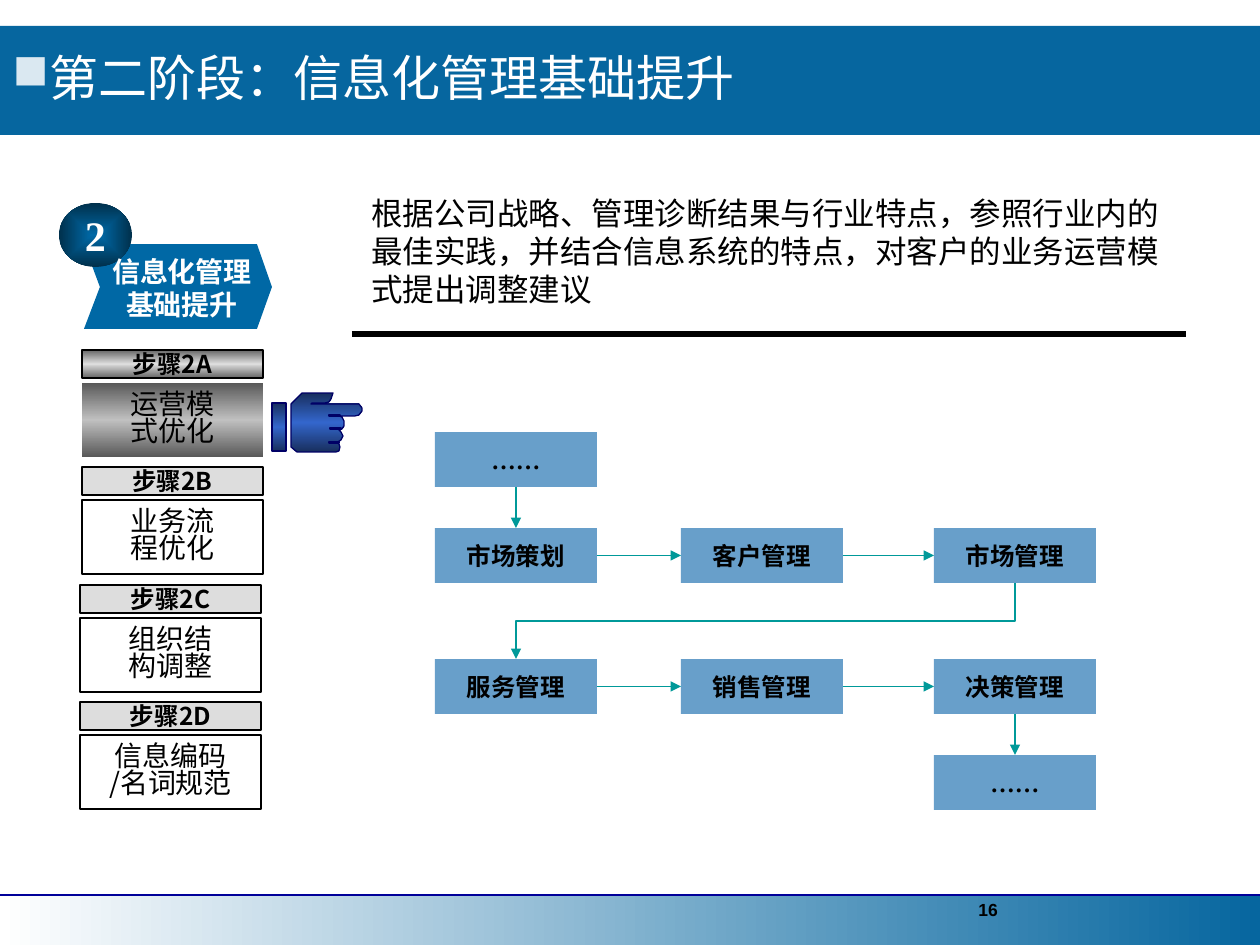
from dataclasses import dataclass
from typing import Any, NamedTuple

from lxml.etree import SubElement
from pptx import Presentation
from pptx.dml.color import RGBColor
from pptx.enum.shapes import MSO_CONNECTOR, MSO_SHAPE
from pptx.enum.text import MSO_ANCHOR, PP_ALIGN
from pptx.oxml.ns import qn
from pptx.util import Pt

SCALE = 914400 / 126  # EMU in one px


def px(length: float) -> int:
    return round(length * SCALE)


class Box(NamedTuple):
    left: int
    top: int
    width: int
    height: int


class Gradient(NamedTuple):
    colors: tuple[str, ...]
    angle: int | None = 90  # None spreads from the centre


class Outline(NamedTuple):
    color: str
    points: float


@dataclass(frozen=True)
class TextStyle:
    size: int
    color: str = "000000"
    bold: bool = False
    latin: str = "Noto Sans CJK SC"
    asian: str = "Noto Sans CJK SC"
    align: Any = PP_ALIGN.CENTER
    anchor: Any = MSO_ANCHOR.MIDDLE
    spacing: float | None = None
    wrap: bool = False


@dataclass(frozen=True)
class Theme:
    banner: str = "06669F"
    bullet: str = "DAE8F1"
    node: str = "689FCA"
    chevron: str = "0068A5"
    step: str = "DDDDDD"
    footer: Gradient = Gradient(("FFFFFF", "06669F"), 0)
    badge: Gradient = Gradient(("0068A5", "00304C"), None)
    active_step: Gradient = Gradient(("666666", "DDDDDD", "666666"))
    active_topic: Gradient = Gradient(("595959", "C0C0C0", "595959"))
    hand: Gradient = Gradient(("182F5E", "3366CC", "182F5E"))
    footer_rule: Outline = Outline("000099", 1)
    arrow: Outline = Outline("009999", 0.75)
    rule: Outline = Outline("000000", 3)
    frame: Outline = Outline("000000", 0.75)
    hand_edge: Outline = Outline("000066", 0.75)
    title: TextStyle = TextStyle(28, "FFFFFF", latin="Arial", align=PP_ALIGN.LEFT, spacing=0.9, wrap=True)
    summary: TextStyle = TextStyle(18, align=PP_ALIGN.LEFT, anchor=MSO_ANCHOR.TOP, wrap=True)
    page: TextStyle = TextStyle(10, bold=True, latin="Arial", align=PP_ALIGN.LEFT,
                                anchor=MSO_ANCHOR.TOP, wrap=True)
    number: TextStyle = TextStyle(24, "FFFFFF", True, "Times New Roman")
    phase: TextStyle = TextStyle(16, "FFFFFF", True, "Times New Roman")
    step_label: TextStyle = TextStyle(14, bold=True)
    topic: TextStyle = TextStyle(16, spacing=0.8, wrap=True)
    dots: TextStyle = TextStyle(14, bold=True, latin="Times New Roman", asian="Times New Roman")


THEME = Theme()


class Step(NamedTuple):
    label: str
    topic: tuple[str, str]
    left: int
    active: bool = False


class Node(NamedTuple):
    text: str
    column: int
    row: int


STEPS = (
    Step("步骤2A", ("运营模", "式优化"), 82, True),
    Step("步骤2B", ("业务流", "程优化"), 82),
    Step("步骤2C", ("组织结", "构调整"), 80),
    Step("步骤2D", ("信息编码", "/名词规范"), 80),
)
COLUMNS = (435, 681, 934)
ROWS = (432, 528, 659, 755)
NODES = (
    Node("……", 0, 0),
    Node("市场策划", 0, 1), Node("客户管理", 1, 1), Node("市场管理", 2, 1),
    Node("服务管理", 0, 2), Node("销售管理", 1, 2), Node("决策管理", 2, 2),
    Node("……", 2, 3),
)
CHEVRON = ((84, 244), (257, 244), (272, 287), (257, 329), (84, 329), (100, 287))
HAND = (
    (355, 416), (339, 416), (342, 417), (344, 421), (344, 426), (342, 429), (339, 430), (341, 432),
    (343, 436), (341, 440), (338, 442), (336, 442), (339, 444), (340, 447), (339, 451), (336, 452),
    (297, 452), (291, 447), (291, 404), (302, 393), (333, 393), (331, 399), (329, 402), (325, 403),
    (312, 403), (311, 404), (355, 404), (359, 404), (362, 408), (362, 411), (359, 415),
)
CUFF = Box(272, 403, 14, 48)
FINGER_CREASES = (Box(329, 415, 11, 1), Box(330, 428, 11, 1), Box(329, 442, 10, 1))


def apply(target: Any, values: dict[str, Any]) -> None:
    for name, value in values.items():
        setattr(target, name, value)


def paint(shape: Any, fill: str | Gradient | None, outline: Outline | None = None) -> None:
    shape.shadow.inherit = False
    if fill is None:
        shape.fill.background()
    elif isinstance(fill, str):
        shape.fill.solid()
        shape.fill.fore_color.rgb = RGBColor.from_string(fill)
    else:
        shape.fill.gradient()
        grad = shape._element.spPr.find(qn("a:gradFill"))
        for child in list(grad):
            grad.remove(child)
        stops = SubElement(grad, qn("a:gsLst"))
        for index, color in enumerate(fill.colors):
            stop = SubElement(stops, qn("a:gs"), pos=str(100000 * index // (len(fill.colors) - 1)))
            SubElement(stop, qn("a:srgbClr"), val=color)
        if fill.angle is None:
            centre = SubElement(grad, qn("a:path"), path="rect")
            SubElement(centre, qn("a:fillToRect"), dict.fromkeys("ltrb", "50000"))
        else:
            SubElement(grad, qn("a:lin"), ang=str(fill.angle * 60000), scaled="0")
    if outline:
        draw_outline(shape.line, outline)
    else:
        shape.line.fill.background()


def draw_outline(line: Any, outline: Outline) -> None:
    line.color.rgb = RGBColor.from_string(outline.color)
    line.width = Pt(outline.points)


def write(shape: Any, lines: tuple[str, ...], style: TextStyle) -> None:
    frame = shape.text_frame
    apply(frame, {"word_wrap": style.wrap, "vertical_anchor": style.anchor})
    for index, text in enumerate(lines):
        paragraph = frame.add_paragraph() if index else frame.paragraphs[0]
        apply(paragraph, {"alignment": style.align, "line_spacing": style.spacing})
        run = paragraph.add_run()
        run.text = text
        apply(run.font, {"size": Pt(style.size), "bold": style.bold, "name": style.latin})
        run.font.color.rgb = RGBColor.from_string(style.color)
        run.font._element.find(qn("a:latin")).addnext(
            run.font._element.makeelement(qn("a:ea"), {"typeface": style.asian}))


def add_block(shapes: Any, box: Box, fill: str | Gradient | None, outline: Outline | None = None,
              kind: Any = MSO_SHAPE.RECTANGLE) -> Any:
    block = shapes.add_shape(kind, *map(px, box))
    paint(block, fill, outline)
    return block


def add_label(shapes: Any, box: Box, lines: tuple[str, ...], style: TextStyle) -> Any:
    label = shapes.add_textbox(*map(px, box))
    write(label, lines, style)
    return label


def add_polygon(shapes: Any, points: tuple, fill: str | Gradient, outline: Outline | None = None) -> None:
    builder = shapes.build_freeform(*points[0], scale=SCALE)
    builder.add_line_segments(points[1:], close=True)
    paint(builder.convert_to_shape(), fill, outline)


def add_line(shapes: Any, ends: tuple[int, int, int, int], outline: Outline,
             kind: Any = MSO_CONNECTOR.STRAIGHT) -> Any:
    line = shapes.add_connector(kind, *map(px, ends))
    draw_outline(line.line, outline)
    SubElement(line._element.spPr, qn("a:effectLst"))
    return line


def add_arrow(shapes: Any, start: Any, end: Any, sites: tuple[int, int], bent: bool = False) -> None:
    """Glue an arrow to two nodes; sites count top, left, bottom, right from 0."""
    arrow = add_line(shapes, (0, 0, 1, 1), THEME.arrow,
                     MSO_CONNECTOR.ELBOW if bent else MSO_CONNECTOR.STRAIGHT)
    arrow.begin_connect(start, sites[0])
    arrow.end_connect(end, sites[1])
    SubElement(arrow.line._get_or_add_ln(), qn("a:tailEnd"), type="triangle")
    if bent:  # a quarter turn makes the path leave downwards
        across, down = arrow.width, arrow.height
        shift = (across - down) // 2
        apply(arrow, {"left": arrow.left + shift, "top": arrow.top - shift,
                      "width": down, "height": across})
        apply(arrow._element.spPr.xfrm, {"rot": 90.0, "flipH": False, "flipV": False})


def add_frame(shapes: Any) -> None:
    add_block(shapes, Box(0, 896, 1260, 49), THEME.footer)
    add_line(shapes, (-1, 895, 1261, 895), THEME.footer_rule)
    add_label(shapes, Box(966, 893, 294, 45), ("16",), THEME.page)
    banner = Box(0, 26, 1260, 109)
    add_block(shapes, banner, THEME.banner)
    title = add_label(shapes, banner, ("第二阶段：信息化管理基础提升",), THEME.title)
    bulleted = title.text_frame.paragraphs[0]._p.get_or_add_pPr()
    bulleted.set("marL", str(px(37)))
    bulleted.set("indent", str(px(-37)))
    SubElement(SubElement(bulleted, qn("a:buClr")), qn("a:srgbClr"), val=THEME.bullet)
    SubElement(bulleted, qn("a:buChar"), char="■")


def add_flow(shapes: Any) -> None:
    nodes = []
    for node in NODES:
        block = add_block(shapes, Box(COLUMNS[node.column], ROWS[node.row], 162, 55), THEME.node)
        write(block, (node.text,), THEME.dots if node.text == "……" else THEME.step_label)
        nodes.append(block)
    for before, after, start, end in zip(NODES, NODES[1:], nodes, nodes[1:]):
        same_row = before.row == after.row
        add_arrow(shapes, start, end, (3, 1) if same_row else (2, 0),
                  bent=not same_row and before.column != after.column)


def add_steps(shapes: Any) -> None:
    for index, step in enumerate(STEPS):
        top = 350 + 235 * index // 2
        header = add_block(shapes, Box(step.left, top, 181, 28),
                           THEME.active_step if step.active else THEME.step, THEME.frame)
        write(header, (step.label,), THEME.step_label)
        body = add_block(shapes, Box(step.left, top + 33, 181, 74),
                         THEME.active_topic if step.active else None,
                         None if step.active else THEME.frame)
        write(body, step.topic, THEME.topic)


def add_phase(shapes: Any) -> None:
    add_polygon(shapes, CHEVRON, THEME.chevron)
    badge = add_block(shapes, Box(59, 203, 73, 64), THEME.badge, kind=MSO_SHAPE.OVAL)
    write(badge, ("2",), THEME.number)
    add_label(shapes, Box(94, 254, 176, 68), ("信息化管理", "基础提升"), THEME.phase)


def add_hand(shapes: Any) -> None:
    add_block(shapes, CUFF, THEME.hand, THEME.hand_edge)
    add_polygon(shapes, HAND, THEME.hand, THEME.hand_edge)
    for crease in FINGER_CREASES:
        add_block(shapes, crease, THEME.hand, THEME.hand_edge)


def main() -> None:
    deck = Presentation()
    apply(deck, {"slide_width": px(1260), "slide_height": px(945)})
    shapes = deck.slides.add_slide(deck.slide_layouts[6]).shapes
    add_frame(shapes)
    summary = "根据公司战略、管理诊断结果与行业特点，参照行业内的最佳实践，并结合信息系统的特点，对客户的业务运营模式提出调整建议"
    add_label(shapes, Box(359, 188, 816, 126), (summary,), THEME.summary)
    add_flow(shapes)
    add_line(shapes, (352, 334, 1186, 334), THEME.rule)
    add_phase(shapes)
    add_steps(shapes)
    add_hand(shapes)
    deck.save("out.pptx")


if __name__ == "__main__":
    main()
